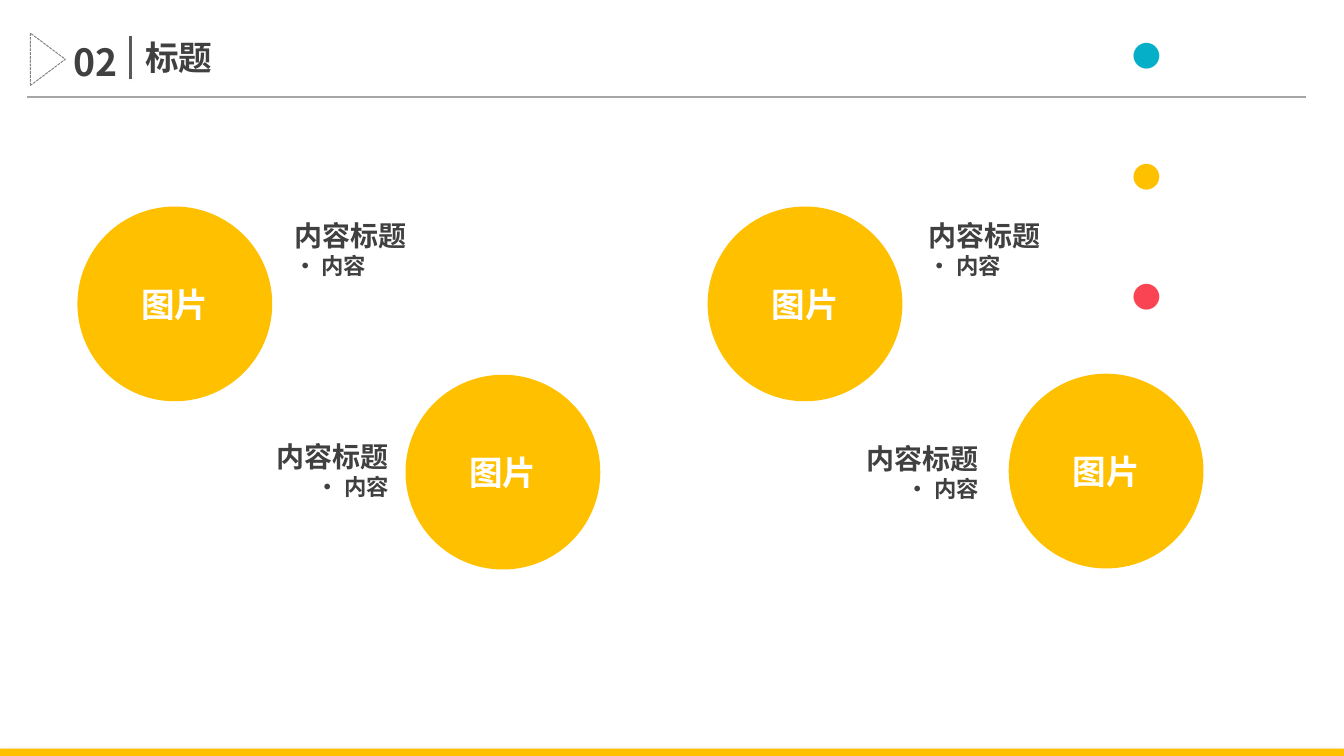
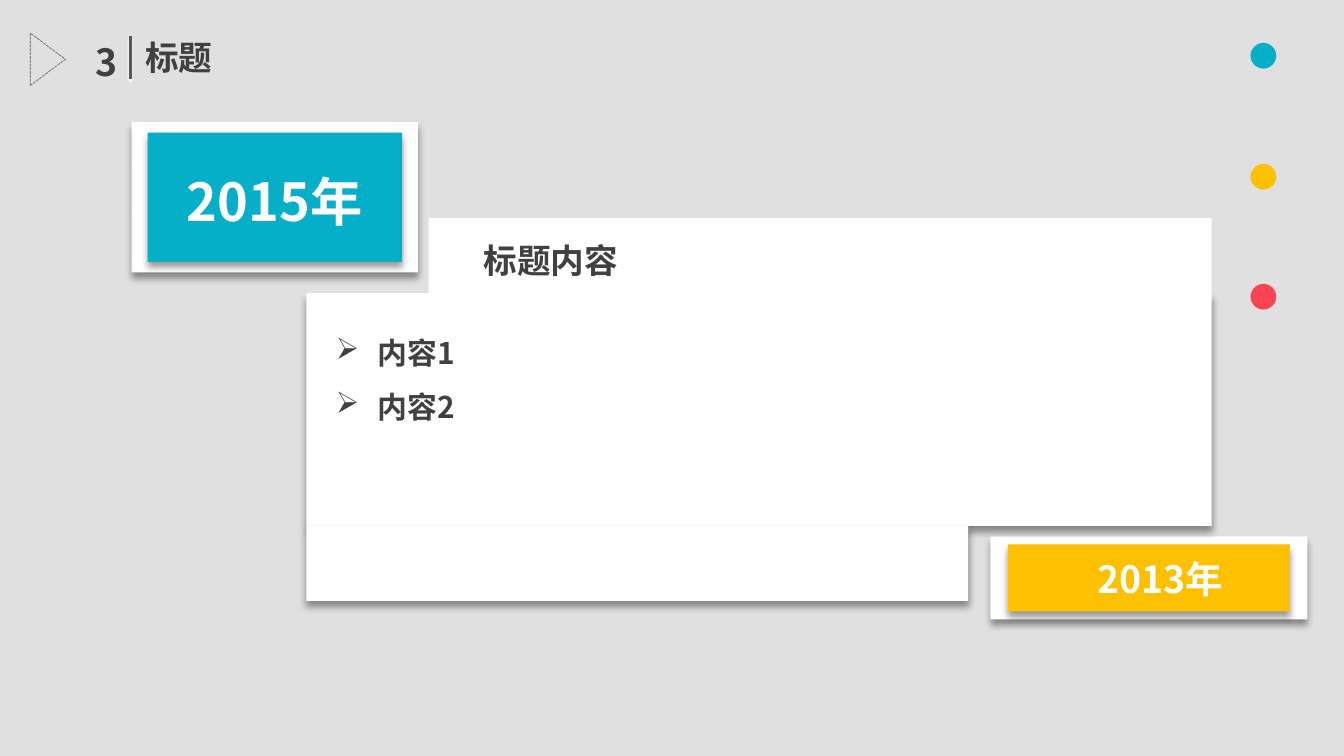
from lxml import etree
from pptx import Presentation
from pptx import util as u
from pptx.dml.color import RGBColor
from pptx.enum import dml, shapes, text
from pptx.oxml import ns

FONT = "Noto Sans CJK SC"
WHITE = RGBColor(0xFF, 0xFF, 0xFF)
BLACK = RGBColor(0, 0, 0)
DARK = RGBColor(0x40, 0x40, 0x40)
DIVIDER = RGBColor(0x59, 0x59, 0x59)
OUTLINE = RGBColor(0x80, 0x80, 0x80)
RULE = RGBColor(0xA6, 0xA6, 0xA6)
YELLOW = RGBColor(0xFF, 0xC0, 0x00)
TEAL = RGBColor(0x05, 0xAF, 0xC8)
RED = RGBColor(0xFA, 0x44, 0x53)

LEFT, CENTER, RIGHT, JUSTIFY = (
    text.PP_ALIGN.LEFT, text.PP_ALIGN.CENTER,
    text.PP_ALIGN.RIGHT, text.PP_ALIGN.JUSTIFY)
WIDTH, HEIGHT = 25.4, 14.29
SOFT = {"color": BLACK, "alpha": 40, "blur": 4, "dist": 3}
CRISP = {"color": WHITE, "alpha": 100, "blur": 1, "dist": 1}


# Effects that need XML
def add_child(parent, tag, **values):
    child = etree.SubElement(parent, ns.qn(tag))
    for name, value in values.items():
        child.set(name, str(value))
    return child


def cast_shadow(effects, color, alpha, blur, dist):
    shadow = add_child(effects, "a:outerShdw", blurRad=u.Pt(blur), dist=u.Pt(dist),
                       dir=90 * 60000, algn="t", rotWithShape=0)
    tint = add_child(shadow, "a:srgbClr", val=color)
    add_child(tint, "a:alpha", val=alpha * 1000)


# Text
def add_span(para, words, size, color=DARK, shadow=None):
    span = para.add_run()
    span.text = words
    look = {"size": u.Pt(size), "bold": True, "name": FONT}
    for name, value in look.items():
        setattr(span.font, name, value)
    span.font.color.rgb = color
    props = span.font._element
    add_child(props, "a:ea", typeface=FONT)
    if shadow:
        effects = etree.Element(ns.qn("a:effectLst"))
        cast_shadow(effects, **shadow)
        props.find(ns.qn("a:latin")).addprevious(effects)


def place(shape, left, top, width, height):
    spot = {"left": left, "top": top, "width": width, "height": height}
    for name, value in spot.items():
        setattr(shape, name, u.Cm(value))


def add_text(slide, at, lines, align=LEFT):
    """Each line is a list of (words, size, color, ...) spans."""
    box = slide.shapes.add_textbox(*map(u.Cm, at))
    frame = box.text_frame
    frame.word_wrap = True
    frame.auto_size = text.MSO_AUTO_SIZE.SHAPE_TO_FIT_TEXT
    for index, spans in enumerate(lines):
        para = frame.add_paragraph() if index else frame.paragraphs[0]
        para.alignment = align
        for span in spans:
            add_span(para, *span)
    return box


def add_arrow_list(slide, at, items):
    box = add_text(slide, at, [[(item, 16)] for item in items])
    indent = u.Cm(0.79)
    for para in box.text_frame.paragraphs:
        para.line_spacing = 1.5
        props = para._p.get_or_add_pPr()
        props.set("marL", str(indent))
        props.set("indent", str(-indent))
        add_child(props, "a:buChar", char="➢")


# Shapes and lines
def add_block(slide, kind, at, fill=None, shadow=None):
    block = slide.shapes.add_shape(kind, *map(u.Cm, at))
    block.shadow.inherit = False
    block.line.fill.background()
    if fill is None:
        block.fill.background()
    else:
        block.fill.solid()
        block.fill.fore_color.rgb = fill
    if shadow:
        cast_shadow(block._element.spPr.find(ns.qn("a:effectLst")), **shadow)
    return block


def add_rect(slide, at, fill, shadow=SOFT):
    return add_block(slide, shapes.MSO_SHAPE.RECTANGLE, at, fill, shadow)


def add_line(slide, start, end, color, weight):
    line = slide.shapes.add_connector(
        shapes.MSO_CONNECTOR.STRAIGHT, *map(u.Cm, start + end))
    line.line.color.rgb = color
    line.line.width = u.Pt(weight)
    cast_shadow(add_child(line._element.spPr, "a:effectLst"), **CRISP)


def add_photo_circle(slide, left, top):
    kind = shapes.MSO_SHAPE.FLOWCHART_CONNECTOR
    circle = add_block(slide, kind, (left, top, 3.61, 3.61), YELLOW)
    circle.line.color.rgb = YELLOW
    circle.line.width = u.Pt(2)
    circle.text_frame.vertical_anchor = text.MSO_ANCHOR.MIDDLE
    para = circle.text_frame.paragraphs[0]
    para.alignment = CENTER
    add_span(para, "图片", 18, WHITE)


def add_framed_plate(slide, at, margin_x, margin_y, fill):
    left, top, width, height = at
    add_rect(slide, at, WHITE)
    add_rect(slide, (left + margin_x, top + margin_y,
                     width - 2 * margin_x, height - 2 * margin_y), fill)


# Parts that both slides share
def add_header(slide, number):
    title = slide.shapes.title
    slide.shapes._spTree.append(title._element)
    place(title, 2.49, 0.58, 8.41, 1.02)
    title.text_frame.vertical_anchor = text.MSO_ANCHOR.TOP
    para = title.text_frame.paragraphs[0]
    para.alignment = LEFT
    add_span(para, "标题", 18)
    add_line(slide, (2.46, 1.5), (2.46, 0.69), DIVIDER, 1.5)
    add_text(slide, (0.3, 0.61, 2.18, 1.12), [[(number, 20)]], RIGHT)
    marker = add_block(slide, shapes.MSO_SHAPE.FLOWCHART_MERGE,
                       (0.41, 0.79, 0.99, 0.66))
    marker.rotation = 270
    marker.line.color.rgb = OUTLINE
    marker.line.width = u.Pt(0.5)
    marker.line.dash_style = dml.MSO_LINE.SQUARE_DOT


def add_dots(slide, left, align):
    dots = [("· ", TEAL), ("· ", YELLOW), ("·", RED)]
    spans = [(words, 54, color, SOFT) for words, color in dots]
    add_text(slide, (left, -0.25, 4.19, 2.57), [spans], align)


# Slides
def build_gallery(slide):
    add_header(slide, "02")
    add_line(slide, (0.51, 1.83), (24.69, 1.83), RULE, 0.75)
    add_dots(slide, 20.47, JUSTIFY)
    add_rect(slide, (0, 14.15, WIDTH, 0.41), YELLOW)
    for left, top in [(1.5, 3.94), (7.7, 7.12), (13.41, 3.94), (19.1, 7.1)]:
        add_photo_circle(slide, left, top)
    captions = [(5.31, 4.01, LEFT), (17.3, 4.01, LEFT),
                (1.4, 8.18, RIGHT), (12.55, 8.22, RIGHT)]
    for left, top, align in captions:
        add_text(slide, (left, top, 6.2, 1.42),
                 [[("内容标题", 15)], [("· 内容", 12)]], align)


def build_timeline(slide):
    veil = add_rect(slide, (0, -0.1, WIDTH, 14.66), BLACK, None)
    tint = veil._element.spPr.find(".//" + ns.qn("a:srgbClr"))
    add_child(tint, "a:alpha", val=12000)
    add_header(slide, "3")
    add_dots(slide, 20.9, RIGHT)

    # Year plates
    add_framed_plate(slide, (2.49, 2.31, 5.41, 2.84), 0.3, 0.2, TEAL)
    add_framed_plate(slide, (18.72, 10.14, 5.99, 1.57), 0.33, 0.15, YELLOW)

    # Stepped white card
    add_rect(slide, (5.79, 5.54, 17.11, 4.4), WHITE)
    add_rect(slide, (8.1, 4.12, 14.8, 1.42), WHITE, None)
    add_rect(slide, (5.79, 9.94, 12.51, 1.42), WHITE)

    add_text(slide, (20.37, 10.39, 3.1, 1.12), [[("2013年", 20, WHITE)]], CENTER)
    add_text(slide, (2.79, 3.07, 4.8, 1.45), [[("2015年", 28, WHITE)]], CENTER)
    add_text(slide, (8.89, 4.42, 8.41, 1.02), [[("标题内容", 18)]])
    add_arrow_list(slide, (6.1, 5.87, 16.79, 2.31), ["内容1", "内容2"])


def main():
    deck = Presentation()
    deck.slide_width, deck.slide_height = u.Cm(WIDTH), u.Cm(HEIGHT)
    title_only = deck.slide_layouts[5]
    for build in (build_gallery, build_timeline):
        build(deck.slides.add_slide(title_only))
    deck.save("out.pptx")


if __name__ == "__main__":
    main()
